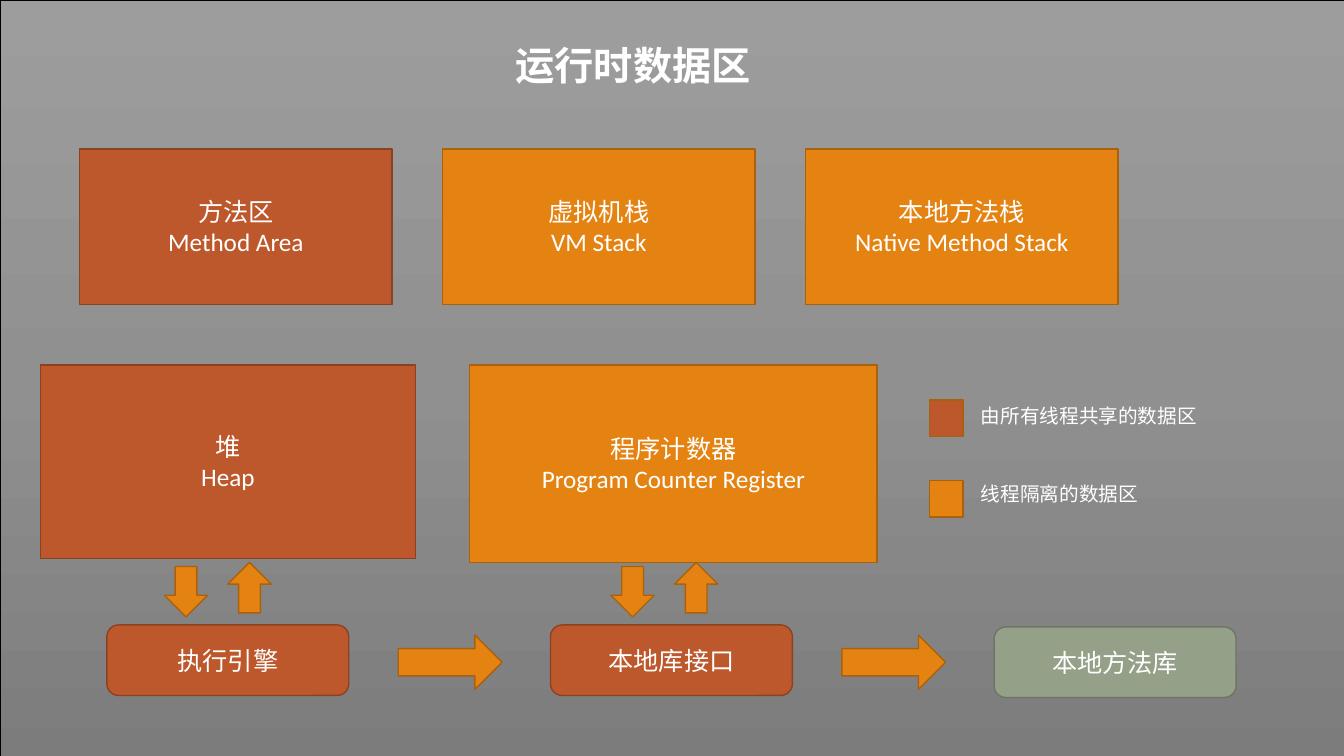
from copy import deepcopy

from pptx import Presentation
from pptx import util as u
from pptx.dml.color import RGBColor
from pptx.enum import shapes, text
from pptx.oxml import ns

WHITE = RGBColor(0xFF, 0xFF, 0xFF)
BLACK = RGBColor(0, 0, 0)
DARK = RGBColor(0x45, 0x45, 0x45)
RUST = RGBColor(0xBD, 0x58, 0x2C)
BROWN = RGBColor(0x8C, 0x41, 0x21)
AMBER = RGBColor(0xE4, 0x83, 0x12)
OCHRE = RGBColor(0xA9, 0x61, 0x0D)
SAGE = RGBColor(0x94, 0xA0, 0x88)
MOSS = RGBColor(0x6D, 0x76, 0x65)
GREYS = [RGBColor(0x9D, 0x9D, 0x9D), RGBColor(0x90, 0x90, 0x90), RGBColor(0x7C, 0x7C, 0x7C)]
EDGES = {RUST: BROWN, AMBER: OCHRE, SAGE: MOSS}
KIND = shapes.MSO_SHAPE
ALIGN = text.PP_ALIGN


class Board:
    """Hold the slide and its style, and draw each kind of element."""

    def __init__(self, slide, font="Calibri"):
        self.slide = slide
        self.font = font
        back = slide.background.fill
        back.solid()
        back.fore_color.rgb = DARK

    def letter(self, frame, lines, size, align, bold=False):
        frame.word_wrap = True
        for i, line in enumerate(lines):
            para = frame.paragraphs[0] if i == 0 else frame.add_paragraph()
            para.alignment = align
            run = para.add_run()
            run.text = line
            run.font.name = self.font
            run.font.size = u.Pt(size)
            run.font.bold = bold
            run.font.color.rgb = WHITE

    def shape(self, kind, place, edge, width=1):
        item = self.slide.shapes.add_shape(kind, *map(u.Inches, place))
        item.shadow.inherit = False
        item.line.color.rgb = edge
        item.line.width = u.Pt(width)
        return item

    def panel(self, place):
        item = self.shape(KIND.RECTANGLE, place, BLACK, 0.5)
        item.fill.gradient()
        item.fill.gradient_angle = 270
        first = item._element.spPr.find(".//" + ns.qn("a:gs"))
        mid = deepcopy(first)
        mid.set("pos", "50000")
        first.addnext(mid)
        for stop, grey in zip(item.fill.gradient_stops, GREYS):
            stop.color.rgb = grey

    def box(self, place, fill, lines=(), kind=KIND.RECTANGLE, edge=None):
        item = self.shape(kind, place, edge or EDGES[fill])
        item.fill.solid()
        item.fill.fore_color.rgb = fill
        item.text_frame.vertical_anchor = text.MSO_ANCHOR.MIDDLE
        self.letter(item.text_frame, lines, 18, ALIGN.CENTER)

    def label(self, place, line, size, align=ALIGN.LEFT, bold=False):
        item = self.slide.shapes.add_textbox(*map(u.Inches, place))
        self.letter(item.text_frame, [line], size, align, bold)


deck = Presentation()
deck.slide_width, deck.slide_height = u.Inches(13.33), u.Inches(7.5)
board = Board(deck.slides.add_slide(deck.slide_layouts[6]))

board.panel((0, 0, 13.33, 7.6))
board.label((3.85, 0.36, 4.86, 0.75), "运行时数据区", 28, ALIGN.CENTER, True)

stacks = [
    (RUST, "方法区", "Method Area"),
    (AMBER, "虚拟机栈", "VM Stack"),
    (AMBER, "本地方法栈", "Native Method Stack"),
]
for i, (fill, *lines) in enumerate(stacks):
    board.box((0.79 + 3.6 * i, 1.48, 3.1, 1.54), fill, lines)

board.box((0.4, 3.62, 3.72, 1.92), RUST, ["堆", "Heap"])
board.box((4.66, 3.62, 4.04, 1.96), AMBER, ["程序计数器", "Program Counter Register"])

hosts = [(RUST, "执行引擎", 6.2), (RUST, "本地库接口", 6.2), (SAGE, "本地方法库", 6.22)]
for i, (fill, name, top) in enumerate(hosts):
    board.box((1.06 + 4.4 * i, top, 2.4, 0.7), fill, [name], KIND.ROUNDED_RECTANGLE)

for i in range(2):
    left = 1.63 + 4.43 * i
    board.box((left, 5.62, 0.43, 0.5), AMBER, kind=KIND.DOWN_ARROW)
    board.box((left + 0.63, 5.58, 0.43, 0.5), AMBER, kind=KIND.UP_ARROW)
    board.box((3.95 + 4.4 * i, 6.3, 1.03, 0.54), AMBER, kind=KIND.RIGHT_ARROW)

keys = [(RUST, "由所有线程共享的数据区", 3.96), (AMBER, "线程隔离的数据区", 4.73)]
for i, (fill, name, top) in enumerate(keys):
    board.box((9.22, 3.97 + 0.8 * i, 0.33, 0.36), fill, edge=OCHRE)
    board.label((9.63, top, 3.24, 0.44), name, 14)

deck.save("out.pptx")
